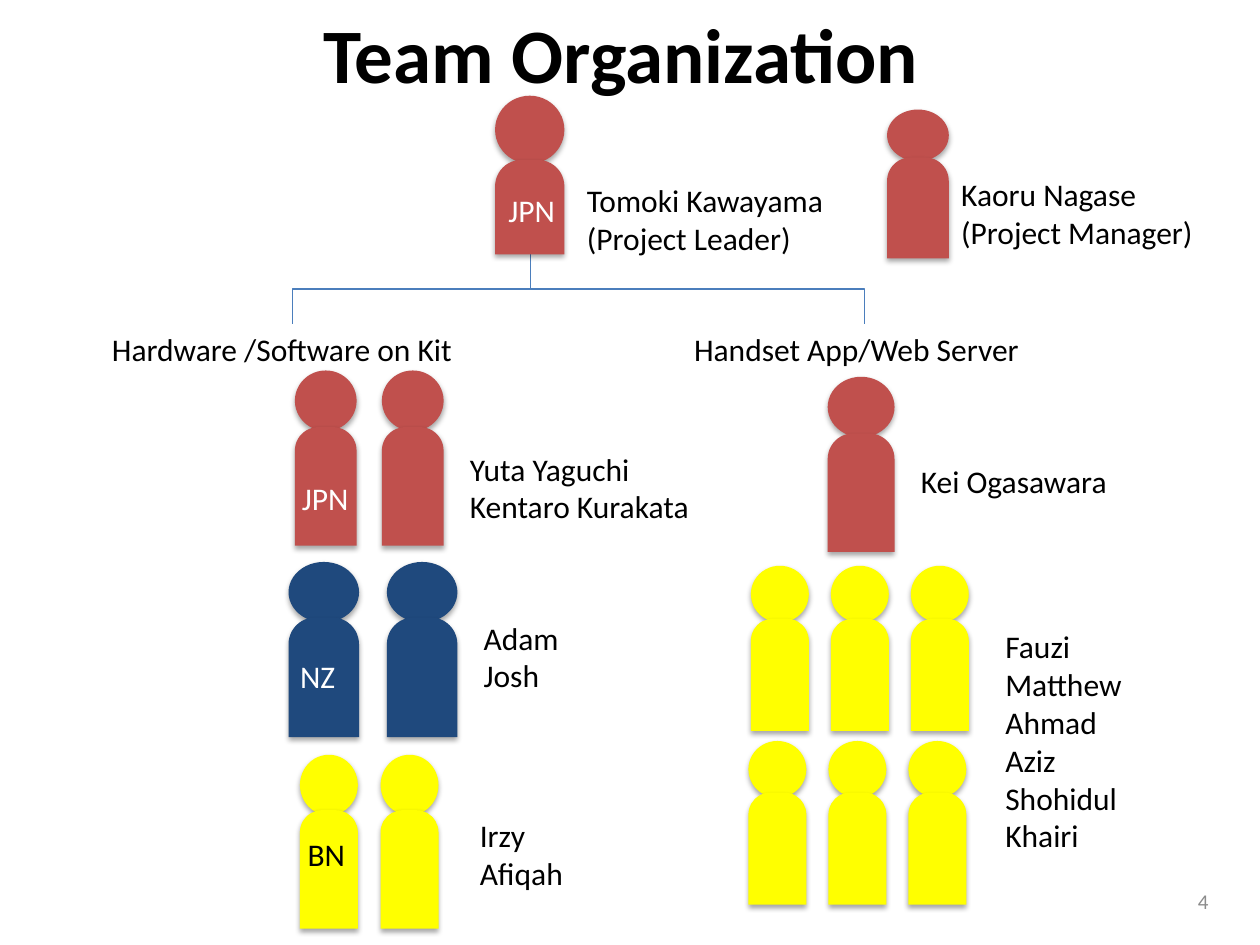
from lxml import etree
from pptx import Presentation
from pptx.dml.color import RGBColor
from pptx.enum.shapes import MSO_CONNECTOR, MSO_SHAPE
from pptx.enum.text import MSO_ANCHOR, MSO_AUTO_SIZE, PP_ALIGN
from pptx.oxml import parse_xml
from pptx.oxml.ns import nsdecls, qn
from pptx.util import Pt

ELBOW = MSO_CONNECTOR.ELBOW
HEAD, BODY = MSO_SHAPE.OVAL, MSO_SHAPE.ROUND_2_SAME_RECTANGLE
LEFT, CENTER, RIGHT = PP_ALIGN.LEFT, PP_ALIGN.CENTER, PP_ALIGN.RIGHT
TOP, MIDDLE = MSO_ANCHOR.TOP, MSO_ANCHOR.MIDDLE
NO_FIT, GROW = MSO_AUTO_SIZE.NONE, MSO_AUTO_SIZE.SHAPE_TO_FIT_TEXT

RED, BLUE, YELLOW = "C0504D", "1F497D", "FFFF00"
BLACK, WHITE, GRAY, LINE = "000000", "FFFFFF", "8C8C8C", "4B7EBC"

TEAMS = [
    (RED, 2, 168.5, 49.7, 35.3, 211.7, 34.6, 244.1, 67.7),
    (RED, 1, 282.9, 0, 39.6, 54.7, 38.9, 91.4, 54),
    (RED, 1, 473, 0, 38.2, 215.3, 34.6, 247.7, 67.7),
    (BLUE, 2, 164.9, 56.2, 40.3, 321.1, 34.6, 352.8, 68.4),
    (YELLOW, 2, 171.4, 46.1, 33.1, 431.3, 34.6, 463, 67.7),
    (YELLOW, 3, 429.1, 45.7, 33.1, 323.3, 32.4, 353.5, 64.1),
    (RED, 1, 506.9, 0, 35.3, 62.6, 29.5, 90, 57.6),
    (YELLOW, 3, 427.7, 45.7, 33.1, 423.4, 32.4, 452.9, 64.1),
]

LABELS = [
    ("Tomoki Kawayama\n(Project Leader)", 328.3, 100.1, 150.5, 51.1),
    ("Kaoru Nagase\n(Project Manager)", 542.2, 96.5, 148.3, 51.1),
    ("Hardware /Software on Kit", 56.9, 185, 220.3, 28.8),
    ("Handset App/Web Server", 389.5, 185, 209.5, 28.8),
    ("Kei Ogasawara", 519.1, 260.6, 121.7, 28.8),
    ("Yuta Yaguchi\nKentaro Kurakata", 261.4, 253.4, 141.1, 51.1),
    ("Adam\nJosh", 269.3, 349.9, 57.6, 51.1),
    ("Irzy\nAfiqah", 267.1, 463, 62.6, 51.1),
    ("Fauzi\nMatthew\nAhmad\nAziz\nShohidul\nKhairi", 567.4, 355, 82.1, 138.2),
]

COUNTRIES = [
    ("JPN", WHITE, 282.9, 105.8, 41.8),
    ("JPN", WHITE, 164.9, 270, 41.8),
    ("NZ", WHITE, 164.2, 372.2, 34.6),
    ("BN", BLACK, 168.5, 473.8, 36),
]


def rgb(value):
    """Return the colour for a hex string."""
    return RGBColor.from_string(value)


def format_text(frame, size, color, align, bold=False):
    """Give every paragraph its alignment and every run its font."""
    for para in frame.paragraphs:
        para.alignment = align
        for span in para.runs:
            span.font.name = "Calibri"
            span.font.size = Pt(size)
            span.font.bold = bold
            span.font.color.rgb = rgb(color)


def add_title(slide, text):
    """Fill and place the title placeholder."""
    title = slide.shapes.title
    title.left, title.top, title.width, title.height = Pt(31), Pt(0), Pt(648), Pt(54.7)
    frame = title.text_frame
    frame.text = text
    frame.auto_size = NO_FIT
    frame.vertical_anchor = TOP
    format_text(frame, 44, BLACK, CENTER, bold=True)


def add_label(slide, text, left, top, width, height, color=BLACK, align=LEFT):
    """Add an unwrapped 18 point label and return its box."""
    box = slide.shapes.add_textbox(Pt(left), Pt(top), Pt(width), Pt(height))
    frame = box.text_frame
    frame.text = text
    frame.word_wrap = False
    frame.auto_size = GROW
    format_text(frame, 18, color, align)
    return box


def add_page_number(slide, text):
    """Add the page number at the bottom right."""
    box = add_label(slide, text, 529.9, 500.4, 167.8, 28.8)
    frame = box.text_frame
    frame.word_wrap = True
    frame.auto_size = NO_FIT
    frame.vertical_anchor = MIDDLE
    format_text(frame, 12, GRAY, RIGHT)


def add_figure_part(group, kind, left, top, width, height, color):
    """Add a filled head or body with a soft shadow below it."""
    part = group.shapes.add_shape(kind, Pt(left), Pt(top), Pt(width), Pt(height))
    part.fill.solid()
    part.fill.fore_color.rgb = rgb(color)
    part.line.fill.background()
    part._element.spPr.append(parse_xml(
        f'<a:effectLst {nsdecls("a")}><a:outerShdw blurRad="{Pt(3.1)}" dist="{Pt(1.8)}" '
        'dir="5400000" rotWithShape="0"><a:srgbClr val="000000"><a:alpha val="35000"/>'
        '</a:srgbClr></a:outerShdw></a:effectLst>'))
    return part


def add_team(slide, color, count, left, pitch, width, head_top, head_height, body_top, body_height):
    """Add a group of equally spaced people."""
    group = slide.shapes.add_group_shape()
    for index in range(count):
        x = left + index * pitch
        add_figure_part(group, HEAD, x, head_top, width, head_height, color)
        body = add_figure_part(group, BODY, x, body_top, width, body_height, color)
        body.adjustments[0] = 0.38
        body.adjustments[1] = 0


def add_branch(slide, start_x, start_y, end_x, end_y):
    """Add an elbow that leaves downwards, by turning a sideways elbow."""
    drop, reach = end_y - start_y, abs(end_x - start_x)
    center_x, center_y = (start_x + end_x) / 2, (start_y + end_y) / 2
    to_left = end_x < start_x
    half = drop / 2 if to_left else -drop / 2
    branch = slide.shapes.add_connector(
        ELBOW, Pt(center_x - half), Pt(center_y - reach / 2),
        Pt(center_x + half), Pt(center_y + reach / 2))
    branch.line.color.rgb = rgb(LINE)
    branch.line.width = Pt(0.75)
    properties = branch._element.spPr
    properties.find(qn("a:xfrm")).set("rot", "5400000" if to_left else "16200000")
    etree.SubElement(properties, qn("a:effectLst"))


def main():
    """Build the team organization slide."""
    deck = Presentation()
    deck.slide_width, deck.slide_height = Pt(720), Pt(540)
    page = deck.slides.add_slide(deck.slide_layouts[5])
    add_title(page, "Team Organization")
    for end_x in (167, 493.9):
        add_branch(page, 303.1, 145.4, end_x, 185)
    for team in TEAMS:
        add_team(page, *team)
    for label in LABELS:
        add_label(page, *label)
    for text, color, left, top, width in COUNTRIES:
        add_label(page, text, left, top, width, 28.8, color, CENTER)
    add_page_number(page, "4")
    deck.save("out.pptx")


if __name__ == "__main__":
    main()
